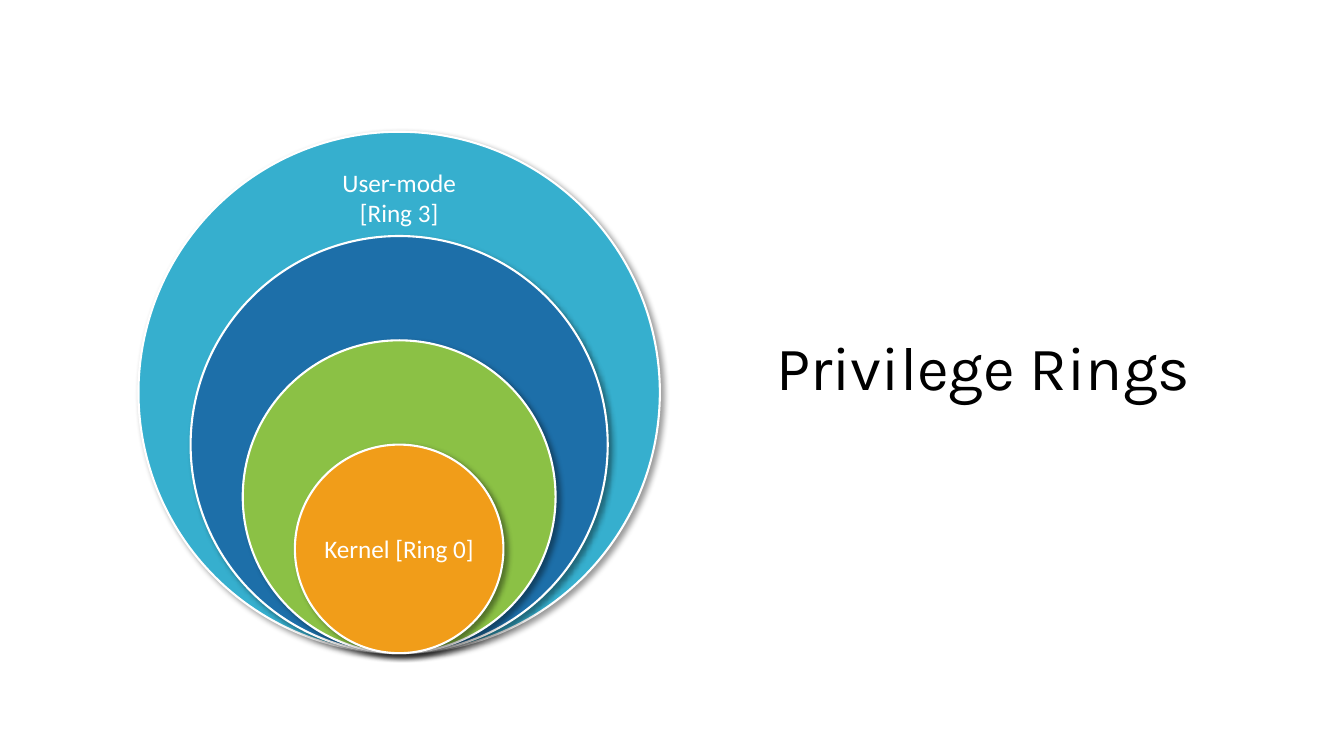
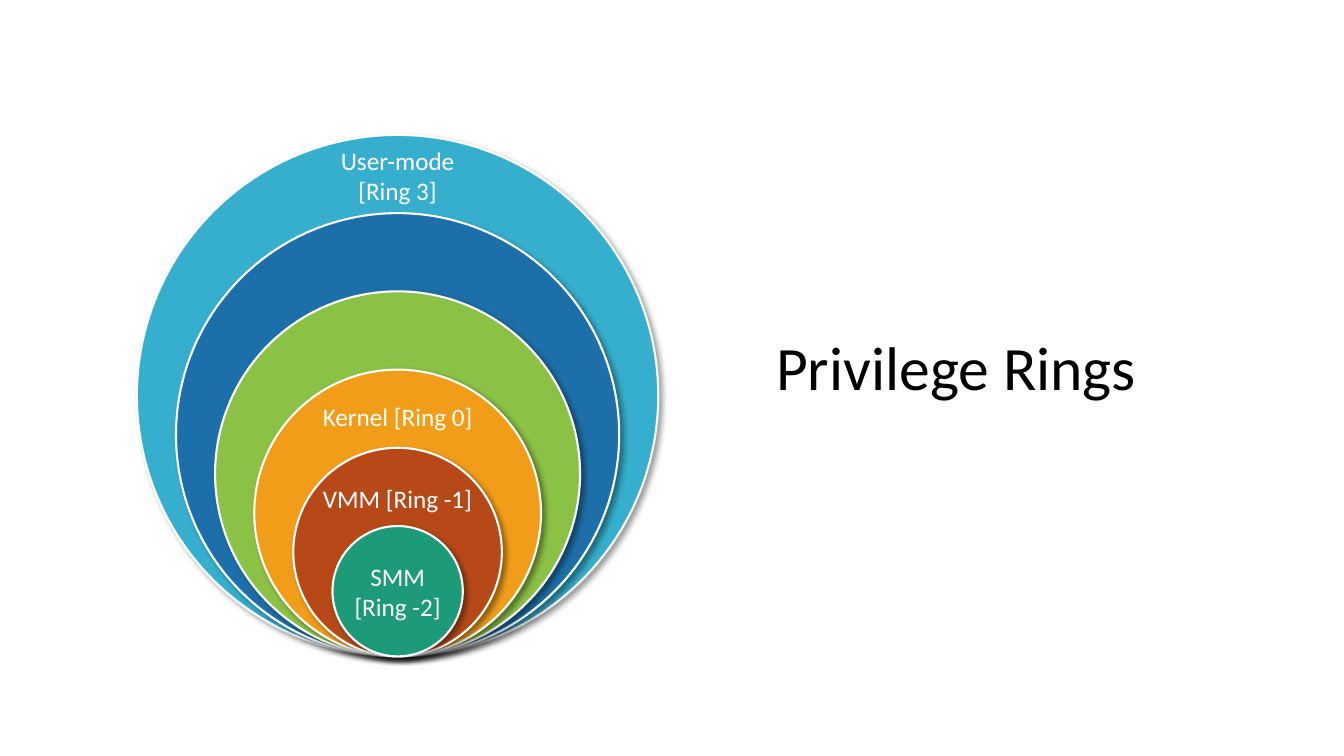
from lxml import etree
from pptx import Presentation
from pptx.dml.color import RGBColor
from pptx.enum.shapes import MSO_SHAPE
from pptx.enum.text import MSO_ANCHOR, MSO_AUTO_SIZE, PP_ALIGN
from pptx.oxml.ns import qn
from pptx.util import Cm, Pt

OVAL = MSO_SHAPE.OVAL
TOP, MIDDLE = MSO_ANCHOR.TOP, MSO_ANCHOR.MIDDLE
LEFT, CENTER = PP_ALIGN.LEFT, PP_ALIGN.CENTER
FIXED = MSO_AUTO_SIZE.NONE

BLACK = RGBColor(0x00, 0x00, 0x00)
WHITE = RGBColor(0xFF, 0xFF, 0xFF)
CYAN = RGBColor(0x36, 0xAF, 0xCE)
BLUE = RGBColor(0x1D, 0x6F, 0xA9)
GREEN = RGBColor(0x8B, 0xC1, 0x45)
ORANGE = RGBColor(0xF1, 0x9D, 0x19)
RUST = RGBColor(0xB7, 0x49, 0x19)
TEAL = RGBColor(0x1D, 0x9A, 0x78)
COLORS = (CYAN, BLUE, GREEN, ORANGE, RUST, TEAL)

BODY = "Calibri"
OUTER = 13.14


class Deck:
    """Holds the shared style and the current slide."""

    def __init__(self):
        self.prs = Presentation()
        self.prs.slide_width, self.prs.slide_height = Cm(33.87), Cm(19.05)
        self.slide = None

    def start(self, title, face):
        """Add a slide with its title on the right."""
        self.slide = self.prs.slides.add_slide(self.prs.slide_layouts[5])
        shape = self.slide.shapes.title
        shape.left, shape.top = Cm(19.56), Cm(1.7)
        shape.width, shape.height = Cm(11.84), Cm(15.27)
        self.fill_text(shape.text_frame, title, face, 44, BLACK, LEFT, MIDDLE)
        shape.text_frame.word_wrap = True
        shape.text_frame.paragraphs[0].line_spacing = 0.9

    def fill_text(self, frame, text, face, size, color, align, anchor):
        """Fill a text frame, one paragraph for each line."""
        frame.text = text
        frame.auto_size = FIXED
        frame.word_wrap = False
        frame.vertical_anchor = anchor
        frame.margin_left = frame.margin_right = 0
        frame.margin_top = frame.margin_bottom = 0
        for para in frame.paragraphs:
            para.alignment = align
            para.font.name, para.font.size = face, Pt(size)
            para.font.color.rgb = color

    def shade(self, shape):
        """Give a shape a soft shadow to the lower right."""
        shape.shadow.inherit = False
        effects = shape._element.spPr.find(qn("a:effectLst"))
        shadow = etree.SubElement(effects, qn("a:outerShdw"), blurRad="50800",
                                  dist="38100", dir="2700000", algn="tl", rotWithShape="0")
        black = etree.SubElement(shadow, qn("a:srgbClr"), val="000000")
        etree.SubElement(black, qn("a:alpha"), val="40000")

    def ring(self, mid, base, size, color):
        """Draw a disc that stands on the base line."""
        disc = self.slide.shapes.add_shape(
            OVAL, Cm(mid - size / 2), Cm(base - size), Cm(size), Cm(size))
        disc.fill.solid()
        disc.fill.fore_color.rgb = color
        disc.line.color.rgb = WHITE
        disc.line.width = Pt(1.5)
        self.shade(disc)
        return disc

    def label(self, disc, text, drop):
        """Label a disc in its middle, or at a drop below its top."""
        if drop is None:
            frame, anchor = disc.text_frame, MIDDLE
        else:
            lines = text.count("\n") + 1
            box = self.slide.shapes.add_textbox(
                disc.left, disc.top + Cm(drop), disc.width, Cm(0.78 * lines))
            frame, anchor = box.text_frame, TOP
        self.fill_text(frame, text, BODY, 18, WHITE, CENTER, anchor)

    def rings(self, mid, base, step, count, labels):
        """Nest discs that shrink by a fixed share of the outer one."""
        for i, color in enumerate(COLORS[:count]):
            disc = self.ring(mid, base, OUTER * (1 - step * i), color)
            if i in labels:
                self.label(disc, *labels[i])


def main():
    """Build both slides."""
    deck = Deck()
    title, user, kernel = "Privilege Rings", "User-mode\n[Ring 3]", "Kernel [Ring 0]"
    deck.start(title, "Karla")
    deck.rings(10.06, 16.46, 0.2, 4, {0: (user, 0.9), 3: (kernel, None)})
    deck.start(title, BODY)
    deck.rings(10.02, 16.54, 0.15, 6, {
        0: (user, 0.25),
        3: (kernel, 0.8),
        4: ("VMM [Ring -1]", 0.9),
        5: ("SMM\n[Ring -2]", None),
    })
    deck.prs.save("out.pptx")


if __name__ == "__main__":
    main()
